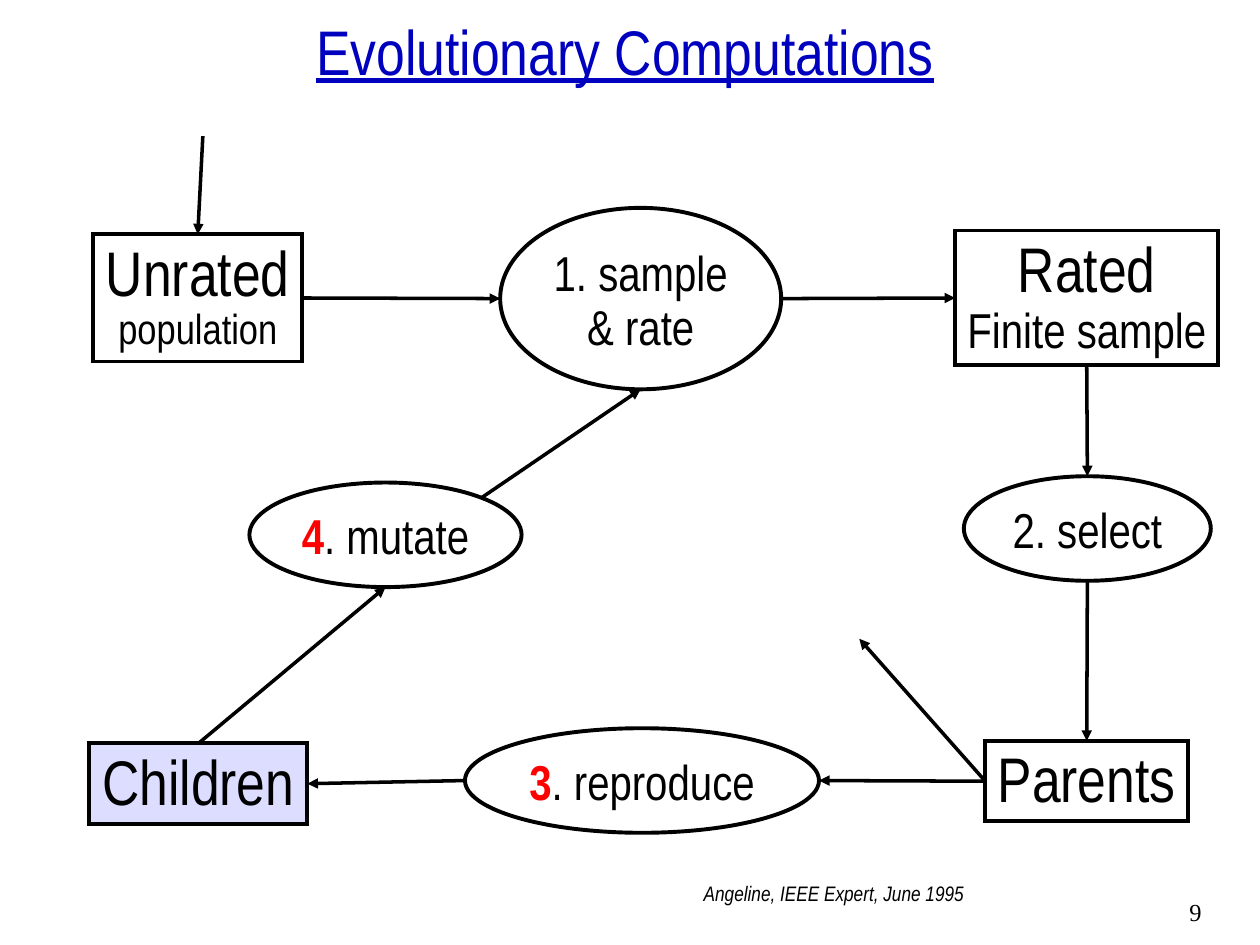
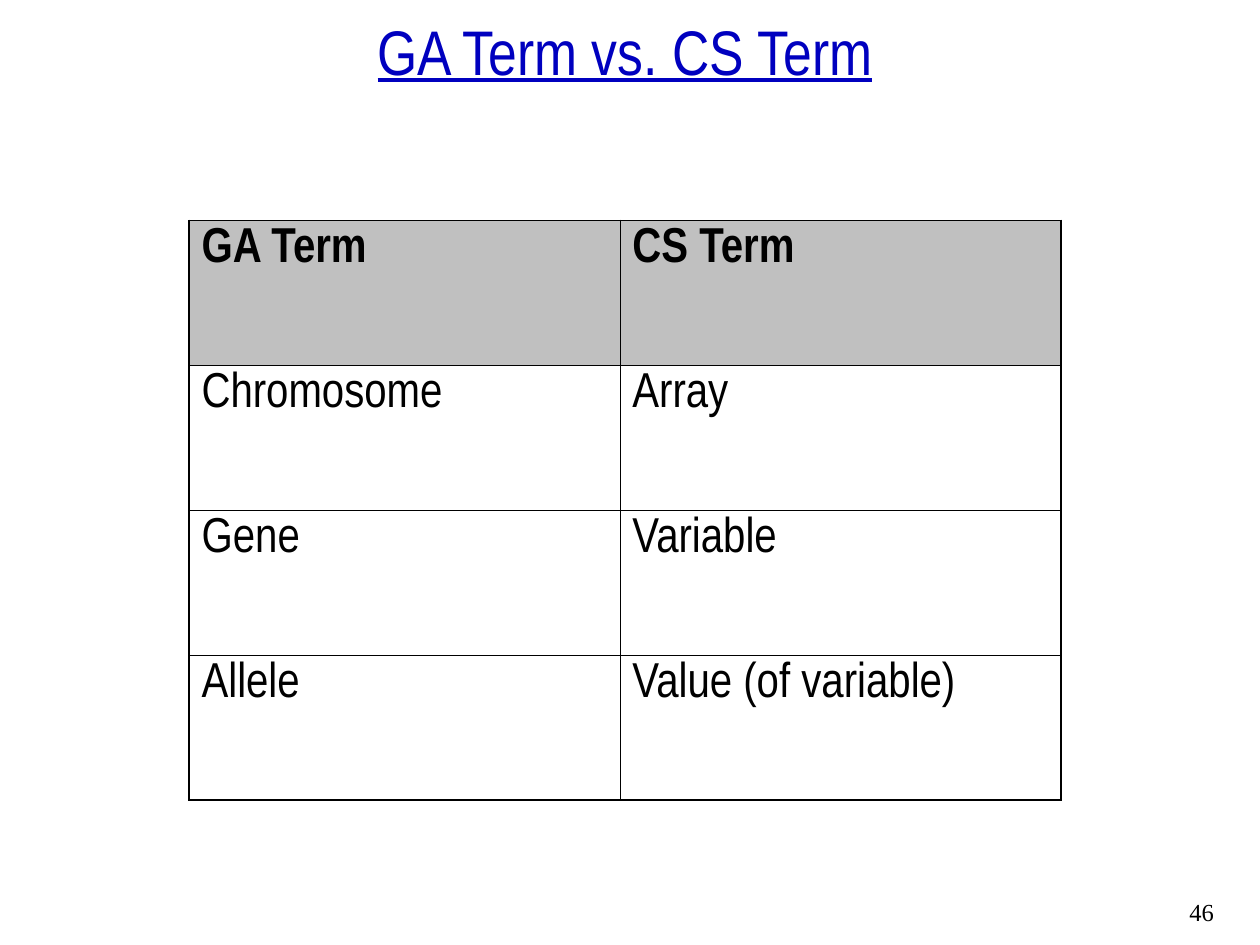
from dataclasses import dataclass
from typing import Any, NamedTuple

from lxml.etree import SubElement
from pptx import Presentation
from pptx.dml.color import RGBColor
from pptx.enum.shapes import MSO_CONNECTOR, MSO_SHAPE
from pptx.enum.text import MSO_ANCHOR, MSO_AUTO_SIZE, PP_ALIGN
from pptx.oxml.ns import qn
from pptx.util import Emu, Inches, Pt


# Theme: every colour, font and type size
@dataclass(frozen=True)
class Theme:
    black: str = "000000"
    white: str = "FFFFFF"
    title_blue: str = "0000BF"
    accent_red: str = "FF0000"
    children_lilac: str = "DDDDFF"
    header_grey: str = "C0C0C0"
    font: str = "Arial Narrow"
    number_font: str = "Times New Roman"
    large: int = 36
    medium: int = 28
    small: int = 24
    number: int = 14
    citation: int = 12
    outline: float = 2.25
    arrow: float = 2
    table_outer: float = 1.08
    table_inner: float = 0.45
    tight_spacing: float = 0.4


THEME = Theme()

# Grid: 100 columns by 75 rows
COLUMNS, ROWS = 100, 75
SLIDE_WIDTH, SLIDE_HEIGHT = Inches(10), Inches(7.5)


def columns(count: float) -> Emu:
    return Emu(round(SLIDE_WIDTH * count / COLUMNS))


def rows(count: float) -> Emu:
    return Emu(round(SLIDE_HEIGHT * count / ROWS))


class Area(NamedTuple):
    left: float
    top: float
    width: float
    height: float

    def lengths(self) -> tuple[Emu, Emu, Emu, Emu]:
        return columns(self.left), rows(self.top), columns(self.width), rows(self.height)

    def point(self, across: float, down: float) -> tuple[float, float]:
        return self.left + across * self.width, self.top + down * self.height


class Piece(NamedTuple):
    text: str
    size: int = THEME.medium
    color: str = THEME.black
    format: dict[str, Any] = {}


Line = list[Piece]


@dataclass(frozen=True)
class Node:
    kind: MSO_SHAPE
    area: Area
    lines: list[Line]
    fill: str | None = None


class Arrow(NamedTuple):
    start: tuple[float, float]
    end: tuple[float, float]


# Text helpers
def set_all(target: Any, values: dict[str, Any]) -> None:
    for name, value in values.items():
        setattr(target, name, value)


def write_line(paragraph: Any, pieces: Line, font: str = THEME.font) -> None:
    for piece in pieces:
        run = paragraph.add_run()
        run.text = piece.text
        set_all(run.font, {"name": font, "size": Pt(piece.size), **piece.format})
        run.font.color.rgb = RGBColor.from_string(piece.color)


def write_tight(frame: Any, lines: list[Line], alignment: PP_ALIGN) -> None:
    """Tightly spaced lines, which need a deep upper margin."""
    set_all(frame, {"margin_top": Inches(0.3), "margin_bottom": Inches(0.1)})
    for index, pieces in enumerate(lines):
        paragraph = frame.add_paragraph() if index else frame.paragraphs[0]
        set_all(paragraph, {"alignment": alignment, "line_spacing": THEME.tight_spacing})
        if index:
            paragraph.space_before = Pt(pieces[0].size * 0.625)
        write_line(paragraph, pieces)


def add_text_frame(slide: Any, area: Area, grow: bool = True) -> Any:
    frame = slide.shapes.add_textbox(*area.lengths()).text_frame
    size = MSO_AUTO_SIZE.SHAPE_TO_FIT_TEXT if grow else MSO_AUTO_SIZE.NONE
    set_all(frame, {"word_wrap": True, "auto_size": size})
    return frame


# Parts shared by the slides
def add_base_slide(presentation: Any, title: str, number: int, tight: bool = False) -> Any:
    slide = presentation.slides.add_slide(presentation.slide_layouts[6])
    number_frame = add_text_frame(slide, Area(93.4, 70.7, 5.8, 3.3))
    write_line(number_frame.paragraphs[0], [Piece(str(number), THEME.number)], THEME.number_font)

    frame = add_text_frame(slide, Area(0, 2.1, 99.2, 5.4), grow=False)
    frame.vertical_anchor = MSO_ANCHOR.BOTTOM
    heading = [Piece(title, THEME.large, THEME.title_blue, {"underline": True})]
    if tight:
        write_tight(frame, [heading], PP_ALIGN.CENTER)
    else:
        frame.paragraphs[0].alignment = PP_ALIGN.CENTER
        write_line(frame.paragraphs[0], heading)
    return slide


# Diagram parts
def add_node(slide: Any, node: Node) -> None:
    shape = slide.shapes.add_shape(node.kind, *node.area.lengths())
    shape.shadow.inherit = False
    if node.fill:
        shape.fill.solid()
        shape.fill.fore_color.rgb = RGBColor.from_string(node.fill)
    else:
        shape.fill.background()
    shape.line.color.rgb = RGBColor.from_string(THEME.black)
    shape.line.width = Pt(THEME.outline)
    SubElement(shape.element.spPr.find(qn("a:ln")), qn("a:miter"), lim="800000")
    # Narrow side margins keep each line of text whole
    set_all(shape.text_frame, {
        "word_wrap": False,
        "auto_size": MSO_AUTO_SIZE.NONE,
        "vertical_anchor": MSO_ANCHOR.MIDDLE,
        "margin_left": Inches(0.02),
        "margin_right": Inches(0.02),
    })
    write_tight(shape.text_frame, node.lines, PP_ALIGN.CENTER)


def add_arrow(slide: Any, arrow: Arrow) -> None:
    (start_x, start_y), (end_x, end_y) = arrow
    connector = slide.shapes.add_connector(
        MSO_CONNECTOR.STRAIGHT, columns(start_x), rows(start_y), columns(end_x), rows(end_y))
    connector.line.color.rgb = RGBColor.from_string(THEME.black)
    connector.line.width = Pt(THEME.arrow)
    properties = connector.element.spPr
    SubElement(properties.find(qn("a:ln")), qn("a:tailEnd"), type="triangle")
    SubElement(properties, qn("a:effectLst"))


def build_cycle_slide(presentation: Any) -> None:
    slide = add_base_slide(presentation, "Evolutionary Computations", 9, tight=True)
    box, oval = MSO_SHAPE.RECTANGLE, MSO_SHAPE.OVAL
    red_bold = {"color": THEME.accent_red, "format": {"bold": True}}

    # Populations are boxes, operations are ovals
    nodes = {
        "parents": Node(box, Area(78.2, 58.8, 16.1, 6.4),
                        [[Piece("Parents", THEME.large)]], THEME.white),
        "reproduce": Node(oval, Area(36.9, 57.8, 28.1, 8.3),
                          [[Piece("3", **red_bold), Piece(". reproduce")]]),
        "mutate": Node(oval, Area(19.8, 38.3, 21.6, 8.3),
                       [[Piece("4", **red_bold), Piece(". mutate")]]),
        "children": Node(box, Area(7.1, 59, 17.3, 6.4),
                         [[Piece("Children", THEME.large)]], THEME.children_lilac),
        "unrated": Node(box, Area(7.4, 18.6, 16.6, 10.1),
                        [[Piece("Unrated", THEME.large)], [Piece("population", THEME.small)]]),
        "rated": Node(box, Area(75.8, 18.3, 20.9, 10.7),
                      [[Piece("Rated", THEME.large)], [Piece("Finite sample")]], THEME.white),
        "sample": Node(oval, Area(39.7, 16.5, 22.3, 14.4),
                       [[Piece("1. sample")], [Piece("& rate")]]),
        "select": Node(oval, Area(76.5, 37.8, 19.6, 8.3), [[Piece("2. select")]]),
    }
    for node in nodes.values():
        add_node(slide, node)

    # Arrows run between points on the outlines, given as shares of each node
    top, left, bottom, right = (0.5, 0), (0, 0.5), (0.5, 1), (1, 0.5)
    upper_right = (0.85, 0.15)
    links = [
        ("unrated", right, "sample", left),
        ("sample", right, "rated", left),
        ("rated", bottom, "select", top),
        ("select", bottom, "parents", top),
        ("parents", left, "reproduce", right),
        ("reproduce", left, "children", right),
        ("children", top, "mutate", bottom),
        ("mutate", upper_right, "sample", bottom),
    ]
    arrows = [Arrow(nodes[source].area.point(*leave), nodes[target].area.point(*arrive))
              for source, leave, target, arrive in links]
    arrows.append(Arrow(nodes["parents"].area.point(*left), (68.2, 50.7)))
    arrows.append(Arrow((16.1, 10.8), nodes["unrated"].area.point(*top)))
    for arrow in arrows:
        add_arrow(slide, arrow)

    # Citation
    citation = Piece("Angeline, IEEE Expert, June 1995", THEME.citation, format={"italic": True})
    write_tight(add_text_frame(slide, Area(24.2, 69.5, 53.3, 4.8)), [[citation]], PP_ALIGN.RIGHT)


# Table parts
def add_border(cell: Any, side: str, width: float) -> None:
    line = SubElement(cell._tc.get_or_add_tcPr(), qn(f"a:ln{side}"), w=str(Pt(width)))
    SubElement(SubElement(line, qn("a:solidFill")), qn("a:srgbClr"), val=THEME.black)


def build_terms_slide(presentation: Any) -> None:
    slide = add_base_slide(presentation, "GA Term vs. CS Term", 46)
    terms = [
        ("GA Term", "CS Term"),
        ("Chromosome", "Array"),
        ("Gene", "Variable"),
        ("Allele", "Value (of variable)"),
    ]
    widths, row_height = (34.2, 35), 11.5
    area = Area(15, 17.5, sum(widths), row_height * len(terms))
    table = slide.shapes.add_table(len(terms), len(widths), *area.lengths()).table
    set_all(table, {"first_row": False, "horz_banding": False})
    for column, width in zip(table.columns, widths):
        column.width = columns(width)

    for row_index, row_terms in enumerate(terms):
        table.rows[row_index].height = rows(row_height)
        for column_index, term in enumerate(row_terms):
            cell = table.cell(row_index, column_index)
            is_outer = {
                "L": column_index == 0,
                "R": column_index == len(widths) - 1,
                "T": row_index == 0,
                "B": row_index == len(terms) - 1,
            }
            for side, outer in is_outer.items():
                add_border(cell, side, THEME.table_outer if outer else THEME.table_inner)
            is_header = row_index == 0
            if is_header:
                cell.fill.solid()
                cell.fill.fore_color.rgb = RGBColor.from_string(THEME.header_grey)
            else:
                cell.fill.background()
            write_line(cell.text_frame.paragraphs[0], [Piece(term, format={"bold": is_header})])


def main() -> None:
    presentation = Presentation()
    set_all(presentation, {"slide_width": SLIDE_WIDTH, "slide_height": SLIDE_HEIGHT})
    build_cycle_slide(presentation)
    build_terms_slide(presentation)
    presentation.save("out.pptx")


if __name__ == "__main__":
    main()
